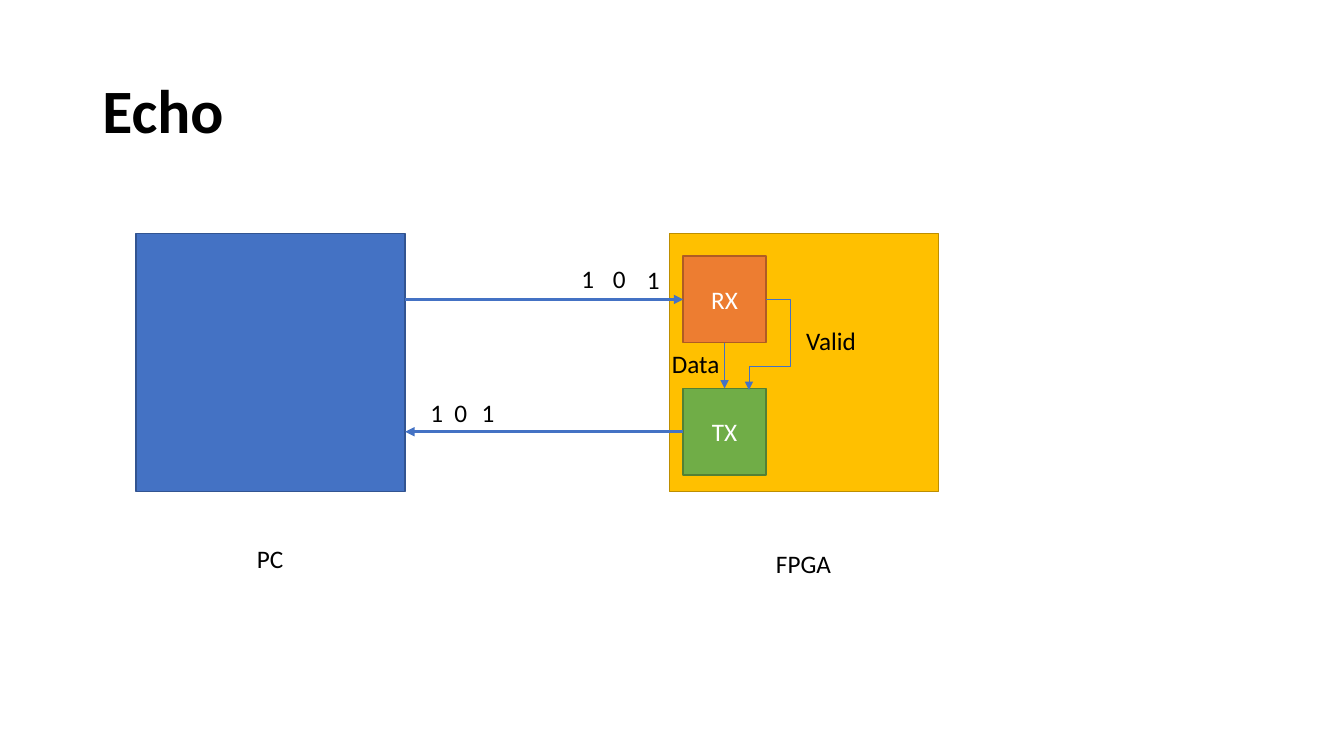
from dataclasses import dataclass

from lxml import etree
from pptx import Presentation
from pptx.dml.color import RGBColor
from pptx.enum.dml import MSO_THEME_COLOR
from pptx.enum.shapes import MSO_CONNECTOR, MSO_SHAPE
from pptx.enum.text import MSO_ANCHOR, MSO_AUTO_SIZE, PP_ALIGN
from pptx.oxml.ns import qn
from pptx.shapes.autoshape import Shape
from pptx.shapes.connector import Connector
from pptx.shapes.shapetree import SlideShapes
from pptx.text.text import TextFrame
from pptx.util import Pt

RECTANGLE = MSO_SHAPE.RECTANGLE
STRAIGHT, ELBOW = MSO_CONNECTOR.STRAIGHT, MSO_CONNECTOR.ELBOW
LEFT, CENTER = PP_ALIGN.LEFT, PP_ALIGN.CENTER
TOP, MIDDLE = MSO_ANCHOR.TOP, MSO_ANCHOR.MIDDLE
FIT_SHAPE, NO_FIT = MSO_AUTO_SIZE.SHAPE_TO_FIT_TEXT, MSO_AUTO_SIZE.NONE
SIDE_TOP, SIDE_LEFT, SIDE_BOTTOM = 0, 1, 2


@dataclass(frozen=True)
class Theme:
    font: str = "Calibri"
    title_size: float = 44
    label_size: float = 18
    text: str = "000000"
    block_text: str = "FFFFFF"
    wire: str = "4472C4"
    serial_width: float = 2.25
    signal_width: float = 0.5
    outline_width: float = 1


@dataclass(frozen=True)
class Block:
    left: float
    top: float
    width: float
    height: float
    fill: str
    outline: str
    name: str = ""

    @property
    def right(self) -> float:
        return self.left + self.width

    @property
    def bottom(self) -> float:
        return self.top + self.height

    @property
    def center_x(self) -> float:
        return self.left + self.width / 2

    @property
    def center_y(self) -> float:
        return self.top + self.height / 2


@dataclass(frozen=True)
class Label:
    text: str
    left: float
    top: float
    width: float


THEME = Theme()
LABEL_HEIGHT = 29
BIT_WIDTH = 23.6

PC = Block(97.2, 167, 192.2, 184.3, "4472C4", "325491")
FPGA = Block(478.1, 167, 192.2, 184.3, "FFC000", "BD8E00")
RX = Block(488, 183, 59.2, 61.8, "ED7D31", "AF5C24", "RX")
TX = Block(488, 277.5, 59.2, 61.8, "70AD47", "538035", "TX")

LABELS = (
    Label("PC", 176.4, 384.5, 33.8),
    Label("FPGA", 547.2, 388, 54),
    Label("Valid", 568.8, 229, 50.4),
    Label("Data", 472.8, 245.2, 49),
    Label("1", 455, 185, BIT_WIDTH),
    Label("0", 430.6, 184.3, BIT_WIDTH),
    Label("1", 408.2, 184.3, BIT_WIDTH),
    Label("1", 300.4, 280.4, BIT_WIDTH),
    Label("0", 317.4, 280.4, BIT_WIDTH),
    Label("1", 337, 280.4, BIT_WIDTH),
)


def write_text(frame: TextFrame, text: str, *, size: float = THEME.label_size,
               color: str = THEME.text, bold: bool = False,
               align: PP_ALIGN = LEFT, anchor: MSO_ANCHOR = TOP,
               spacing: float = 1.0, wrap: bool = True,
               fit: MSO_AUTO_SIZE = NO_FIT) -> None:
    frame.word_wrap = wrap
    frame.auto_size = fit
    frame.vertical_anchor = anchor
    paragraph = frame.paragraphs[0]
    paragraph.alignment = align
    paragraph.line_spacing = spacing
    run = paragraph.add_run()
    run.text = text
    run.font.name = THEME.font
    run.font.size = Pt(size)
    run.font.bold = bold
    run.font.color.rgb = RGBColor.from_string(color)


def draw_block(shapes: SlideShapes, block: Block) -> Shape:
    shape = shapes.add_shape(RECTANGLE, Pt(block.left), Pt(block.top),
                             Pt(block.width), Pt(block.height))
    shape.shadow.inherit = False
    shape.fill.solid()
    shape.fill.fore_color.rgb = RGBColor.from_string(block.fill)
    shape.line.color.rgb = RGBColor.from_string(block.outline)
    shape.line.width = Pt(THEME.outline_width)
    if block.name:
        write_text(shape.text_frame, block.name, color=THEME.block_text,
                   align=CENTER, anchor=MIDDLE)
    return shape


def draw_label(shapes: SlideShapes, label: Label) -> None:
    box = shapes.add_textbox(Pt(label.left), Pt(label.top),
                             Pt(label.width), Pt(LABEL_HEIGHT))
    write_text(box.text_frame, label.text, wrap=False, fit=FIT_SHAPE)


def draw_arrow(shapes: SlideShapes, start: tuple[float, float],
               end: tuple[float, float], width: float,
               kind: MSO_CONNECTOR = STRAIGHT) -> Connector:
    arrow = shapes.add_connector(kind, Pt(start[0]), Pt(start[1]),
                                 Pt(end[0]), Pt(end[1]))
    arrow.line.color.rgb = RGBColor.from_string(THEME.wire)
    arrow.line.width = Pt(width)
    properties = arrow._element.spPr
    outline = properties.find(qn("a:ln"))
    etree.SubElement(outline, qn("a:tailEnd"), type="triangle")
    etree.SubElement(properties, qn("a:effectLst"))
    return arrow


def add_second_bend(arrow: Connector, across: int, down: int) -> None:
    """Turn an elbow into a four-part one; bends are in 1/100000 of its size."""
    geometry = arrow._element.spPr.find(qn("a:prstGeom"))
    geometry.set("prst", "bentConnector4")
    guides = geometry.find(qn("a:avLst"))
    for name, value in (("adj1", across), ("adj2", down)):
        etree.SubElement(guides, qn("a:gd"), name=name, fmla=f"val {value}")


def main() -> None:
    deck = Presentation()
    deck.slide_width, deck.slide_height = Pt(960), Pt(540)
    slide = deck.slides.add_slide(deck.slide_layouts.get_by_name("Title Only"))
    slide.background.fill.solid()
    slide.background.fill.fore_color.theme_color = MSO_THEME_COLOR.BACKGROUND_1
    shapes = slide.shapes

    title = shapes.title
    title.left, title.top = Pt(66), Pt(28.8)
    title.width, title.height = Pt(828), Pt(104.4)
    write_text(title.text_frame, "Echo", size=THEME.title_size, bold=True,
               anchor=MIDDLE, spacing=0.9)

    draw_block(shapes, PC)
    draw_block(shapes, FPGA)
    receiver = draw_block(shapes, RX)
    transmitter = draw_block(shapes, TX)

    incoming = draw_arrow(shapes, (PC.right, RX.center_y),
                          (RX.left, RX.center_y), THEME.serial_width)
    incoming.end_connect(receiver, SIDE_LEFT)
    outgoing = draw_arrow(shapes, (TX.left, TX.center_y),
                          (PC.right, TX.center_y), THEME.serial_width)
    outgoing.begin_connect(transmitter, SIDE_LEFT)
    data = draw_arrow(shapes, (RX.center_x, RX.bottom),
                      (TX.center_x, TX.top), THEME.signal_width)
    data.begin_connect(receiver, SIDE_BOTTOM)
    data.end_connect(transmitter, SIDE_TOP)
    valid = draw_arrow(shapes, (RX.right, RX.center_y),
                       (535, TX.top + 1), THEME.signal_width, ELBOW)
    add_second_bend(valid, -145800, 73900)

    for label in LABELS:
        draw_label(shapes, label)

    deck.save("out.pptx")


if __name__ == "__main__":
    main()
